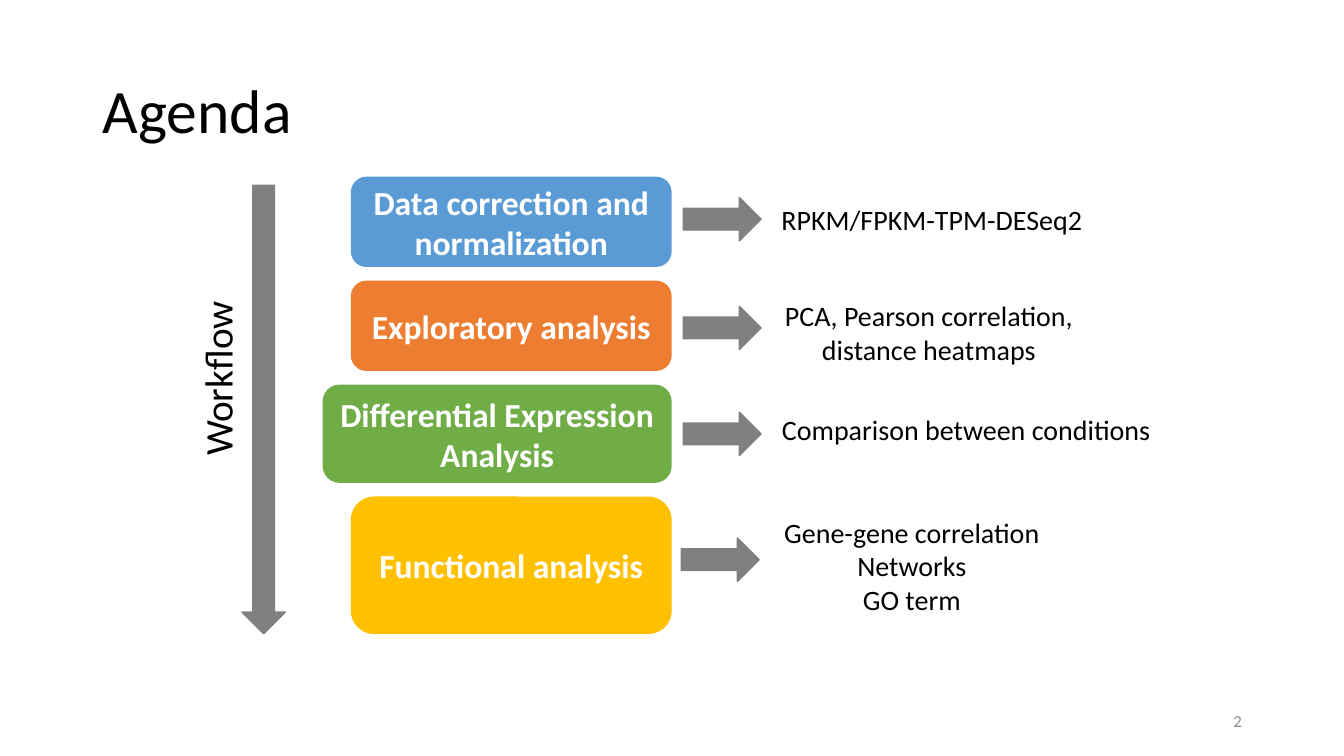
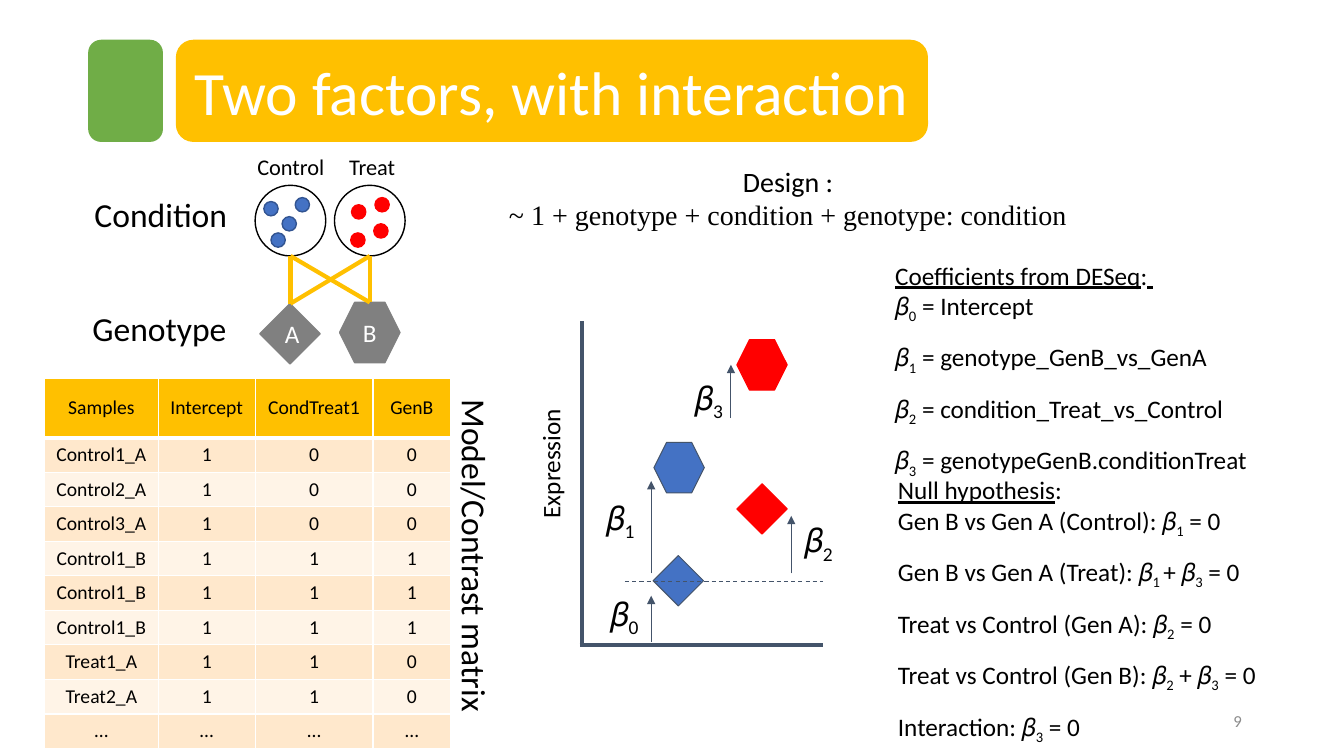
import itertools

import lxml.etree
import pptx
import pptx.dml.color
import pptx.enum.dml
import pptx.enum.shapes
import pptx.enum.text
import pptx.oxml.ns
import pptx.util

Cm = pptx.util.Cm
Pt = pptx.util.Pt
SHAPE = pptx.enum.shapes.MSO_SHAPE
ALIGN = pptx.enum.text.PP_ALIGN
MIDDLE = pptx.enum.text.MSO_ANCHOR.MIDDLE
BLACK, WHITE, GREY = "000000", "FFFFFF", "808080"
BLUE, ORANGE, GREEN, GOLD = "5B9BD5", "ED7D31", "70AD47", "FFC000"
DEEP_BLUE, NAVY, RED, SLATE = "4472C4", "325491", "FF0000", "44546A"


def color(value):
    return pptx.dml.color.RGBColor.from_string(value)


def subscripted(text):
    return [(part, {"subscript": index % 2 == 1})
            for index, part in enumerate(text.split("|")) if part]


def add_xml(parent, tag, **attributes):
    element = lxml.etree.SubElement(parent, pptx.oxml.ns.qn(tag))
    for name, value in attributes.items():
        element.set(name, value)
    return element


class SlideBuilder:
    """Holds the shared style and the slide being filled."""

    font_name = "Calibri"
    title_size = 44
    number_style = {"size": 12, "ink": "8C8C8C", "align": ALIGN.RIGHT}

    def __init__(self, deck):
        self.deck = deck
        self.page = None

    def start(self, number):
        self.page = self.deck.slides.add_slide(self.deck.slide_layouts[6])
        self.text((23.93, 17.65, 7.62, 1.02), [number], anchor=MIDDLE, **self.number_style)

    def fill_text(self, frame, paragraphs, size=20, ink=BLACK, bold=False,
                  align=ALIGN.LEFT, spacing=None, loose_from=0):
        for index, content in enumerate(paragraphs):
            para = frame.paragraphs[0] if index == 0 else frame.add_paragraph()
            para.alignment = align
            if spacing and index >= loose_from:
                para.line_spacing = spacing
            runs = subscripted(content) if isinstance(content, str) else content
            for words, extra in runs:
                span = para.add_run()
                span.text = words
                values = {"name": self.font_name, "size": Pt(size), "bold": bold, **extra}
                if values.pop("subscript", False):
                    span._r.get_or_add_rPr().set("baseline", "-25000")
                for name, value in values.items():
                    setattr(span.font, name, value)
                span.font.color.rgb = color(ink)

    def text(self, place, paragraphs, wrap=True, turn=0, margins=(0.25, 0.13),
             anchor=pptx.enum.text.MSO_ANCHOR.TOP, **style):
        box = self.page.shapes.add_textbox(*map(Cm, place))
        box.rotation = turn
        across, down = map(Cm, margins)
        fit = pptx.enum.text.MSO_AUTO_SIZE
        frame_values = {
            "word_wrap": wrap, "vertical_anchor": anchor,
            "auto_size": fit.NONE if wrap else fit.SHAPE_TO_FIT_TEXT,
            "margin_left": across, "margin_right": across,
            "margin_top": down, "margin_bottom": down,
        }
        for name, value in frame_values.items():
            setattr(box.text_frame, name, value)
        self.fill_text(box.text_frame, paragraphs, **style)

    def shape(self, kind, place, fill, line=None, weight=1, words=None, **style):
        shape = self.page.shapes.add_shape(kind, *map(Cm, place))
        shape.shadow.inherit = False
        if fill:
            shape.fill.solid()
            shape.fill.fore_color.rgb = color(fill)
        else:
            shape.fill.background()
        shape.line.color.rgb = color(line or fill)
        shape.line.width = Pt(weight)
        if words:
            shape.text_frame.word_wrap = True
            shape.text_frame.vertical_anchor = MIDDLE
            self.fill_text(shape.text_frame, [words], ink=WHITE, align=ALIGN.CENTER, **style)

    def line(self, start, end, ink=SLATE, weight=0.75, arrow=False, dashed=False):
        straight = pptx.enum.shapes.MSO_CONNECTOR.STRAIGHT
        connector = self.page.shapes.add_connector(straight, *map(Cm, (*start, *end)))
        connector.line.color.rgb = color(ink)
        connector.line.width = Pt(weight)
        if dashed:
            connector.line.dash_style = pptx.enum.dml.MSO_LINE.DASH
        if arrow:
            add_xml(connector.line._get_or_add_ln(), "a:tailEnd", type="triangle")
        add_xml(connector._element.spPr, "a:effectLst")

    def border(self, cell, bottom):
        properties = cell._tc.get_or_add_tcPr()
        for index, side in enumerate(("a:lnL", "a:lnR", "a:lnT", "a:lnB")):
            weight = bottom if side == "a:lnB" else 1
            edge = add_xml(properties, side, w=str(Pt(weight)))
            add_xml(add_xml(edge, "a:solidFill"), "a:srgbClr", val=WHITE)
            properties.insert(index, edge)

    def table(self, corner, widths, heights, rows):
        place = (*corner, sum(widths), sum(heights))
        table = self.page.shapes.add_table(len(rows), len(widths), *map(Cm, place)).table
        for column, width in zip(table.columns, widths):
            column.width = Cm(width)
        for index, (row, height, values) in enumerate(zip(table.rows, heights, rows)):
            row.height = Cm(height)
            fill = GOLD if index == 0 else ("FFF4E7", "FFE8CC")[index % 2]
            for cell, value in zip(row.cells, values):
                cell.fill.solid()
                cell.fill.fore_color.rgb = color(fill)
                cell.vertical_anchor = MIDDLE
                self.fill_text(cell.text_frame, [value], size=14, align=ALIGN.CENTER)
                self.border(cell, 3 if index == 0 else 1)


def build_agenda(builder):
    builder.start("2")
    builder.text((2.34, 1.02, 29.21, 3.68), ["Agenda"], anchor=MIDDLE,
                 size=builder.title_size, spacing=0.9)
    builder.shape(SHAPE.DOWN_ARROW, (6.1, 4.67, 1.09, 11.3), GREY)
    builder.text((3.25, 8.79, 4.44, 1.45), ["Workflow"], wrap=False, turn=270, size=28)

    right, top, gap = 16.91, 4.47, 0.38
    steps = [
        ("Data correction and normalization", BLUE, 8.05, 2.24, (17.22, 4.98),
         (4.98, 8.15, 1.12), ["RPKM/FPKM-TPM-DESeq2"]),
        ("Exploratory analysis", ORANGE, 8.05, 2.24, (17.22, 7.72),
         (7.39, 8, 1.96), ["PCA, Pearson correlation,", "distance heatmaps"]),
        ("Differential Expression Analysis", GREEN, 8.76, 2.44, (17.22, 10.39),
         (10.26, 9.88, 1.12), ["Comparison between conditions"]),
        ("Functional analysis", GOLD, 8.05, 3.43, (17.17, 13.56),
         (12.85, 7.14, 2.82), ["Gene-gene correlation", "Networks", "GO term"]),
    ]
    for words, fill, width, height, arrow, detail, methods in steps:
        builder.shape(SHAPE.ROUNDED_RECTANGLE, (right - width, top, width, height), fill,
                      words=words, size=24, bold=True)
        builder.shape(SHAPE.RIGHT_ARROW, (*arrow, 1.96, 1.09), GREY)
        builder.text((19.41, *detail), methods, wrap=len(methods) > 2, align=ALIGN.CENTER)
        top += height + gap


def build_factors(builder):
    for words, left, top, width in (("Condition", 2.13, 4.75, 3.89),
                                    ("Genotype", 2.08, 7.62, 3.94)):
        builder.text((left, top, width, 1.27), [words], wrap=False, size=24)

    conditions = [
        ("Control", 6.38, 6.43, DEEP_BLUE, NAVY,
         [(7.11, 5.46), (7.44, 4.98), (6.65, 5.08), (6.83, 5.87)]),
        ("Treat", 8.43, 8.43, RED, RED,
         [(9.42, 5.64), (9.45, 4.98), (8.86, 5.16), (8.84, 5.87)]),
    ]
    for words, label_left, circle_left, fill, edge, dots in conditions:
        builder.text((label_left, 3.73, 1.9, 0.94), [words], margins=(0, 0.13),
                     size=16, align=ALIGN.CENTER)
        builder.shape(SHAPE.OVAL, (circle_left, 4.67, 1.78, 1.78), None, BLACK)
        for dot in dots:
            builder.shape(SHAPE.OVAL, (*dot, 0.36, 0.36), fill, edge)

    for kind, left, top, words in ((SHAPE.DIAMOND, 6.55, 7.65, "A"),
                                   (SHAPE.HEXAGON, 8.56, 7.62, "B")):
        builder.shape(kind, (left, top, 1.52, 1.52), GREY, words=words, size=18)
    genotype_tops = [(7.32, 7.65), (9.32, 7.62)]
    for start, end in itertools.product((7.32, 9.32), genotype_tops):
        builder.line((start, 6.45), end, GOLD, 3)


def build_plot(builder):
    origin, axis_end = (14.66, 16.26), 20.75
    builder.line((14.61, 16.26), (axis_end, 16.26), weight=3)
    builder.line(origin, (14.66, 8.1), weight=3)
    builder.text((12.22, 11.15, 3.3, 1.02), ["Expression"], wrap=False, turn=270, size=18)
    markers = [
        (SHAPE.DIAMOND, 16.46, 14, DEEP_BLUE, SLATE),
        (SHAPE.DIAMOND, 18.57, 12.19, RED, RED),
        (SHAPE.HEXAGON, 16.48, 11.15, DEEP_BLUE, SLATE),
        (SHAPE.HEXAGON, 18.57, 8.56, RED, RED),
    ]
    for kind, left, top, fill, edge in markers:
        builder.shape(kind, (left, top, 1.27, 1.27), fill, edge, 0.75)
    builder.line((15.75, 14.66), (axis_end, 14.66), dashed=True)
    effects = [
        ((15.19, 14.61), 16.41, 16.18, 15.01),
        ((15.09, 12.19), 16.41, 14.45, 12.12),
        ((20.09, 12.75), 19.94, 14.45, 13),
        ((17.32, 9.17), 18.42, 10.54, 9.19),
    ]
    for index, (corner, across, low, high) in enumerate(effects):
        builder.text((*corner, 1.09, 1.57), [f"𝛽|{index}|"], margins=(0, 0.33),
                     size=24, align=ALIGN.CENTER)
        builder.line((across, low), (across, high), arrow=True)


def build_interaction(builder):
    builder.start("9")
    builder.shape(SHAPE.ROUNDED_RECTANGLE, (2.24, 1.02, 1.85, 2.54), GREEN)
    builder.shape(SHAPE.ROUNDED_RECTANGLE, (4.45, 1.02, 18.92, 2.54), GOLD,
                  words="Two factors, with interaction", size=builder.title_size)
    build_factors(builder)
    formula = "~ 1 + genotype + condition + genotype: condition"
    builder.text((10.74, 4.01, 18.24, 1.96),
                 ["Design :", [(formula, {"name": "Times New Roman"})]], align=ALIGN.CENTER)
    build_plot(builder)

    underline = {"underline": True}
    panels = [
        ((22.23, 6.22, 10.11, 5.38), [
            [("Coefficients from DESeq", underline), (":", {}), (" ", underline)],
            "𝛽|0| = Intercept",
            "𝛽|1| = genotype_GenB_vs_GenA",
            "𝛽|2| = condition_Treat_vs_Control",
            "𝛽|3| = genotypeGenB.conditionTreat",
        ]),
        ((22.3, 11.63, 10.36, 6.83), [
            [("Null hypothesis", underline), (":", {})],
            "Gen B vs Gen A (Control): 𝛽|1| = 0",
            "Gen B vs Gen A (Treat): 𝛽|1 |+ 𝛽|3| = 0",
            "Treat vs Control (Gen A): 𝛽|2| = 0",
            "Treat vs Control (Gen B): 𝛽|2| + 𝛽|3| = 0",
            "Interaction: 𝛽|3| = 0",
        ]),
    ]
    for place, paragraphs in panels:
        builder.text(place, paragraphs, margins=(0.33, 0.33), size=18,
                     spacing=1.5, loose_from=2)

    rows = [
        ("Samples", "Intercept", "CondTreat1", "GenB"),
        *((f"Control{number}_A", "1", "0", "0") for number in (1, 2, 3)),
        *[("Control1_B", "1", "1", "1")] * 3,
        *((f"Treat{number}_A", "1", "1", "0") for number in (1, 2)),
        ("…",) * 4,
    ]
    builder.table((1.12, 9.53), (2.87, 2.44, 2.97, 1.96), (1.5, *[0.87] * 9), rows)
    builder.text((7.75, 13.41, 8.46, 1.27), ["Model/Contrast matrix"],
                 wrap=False, turn=90, size=24)


def main():
    deck = pptx.Presentation()
    deck.slide_width, deck.slide_height = Cm(33.87), Cm(19.05)
    builder = SlideBuilder(deck)
    build_agenda(builder)
    build_interaction(builder)
    deck.save("out.pptx")


if __name__ == "__main__":
    main()
